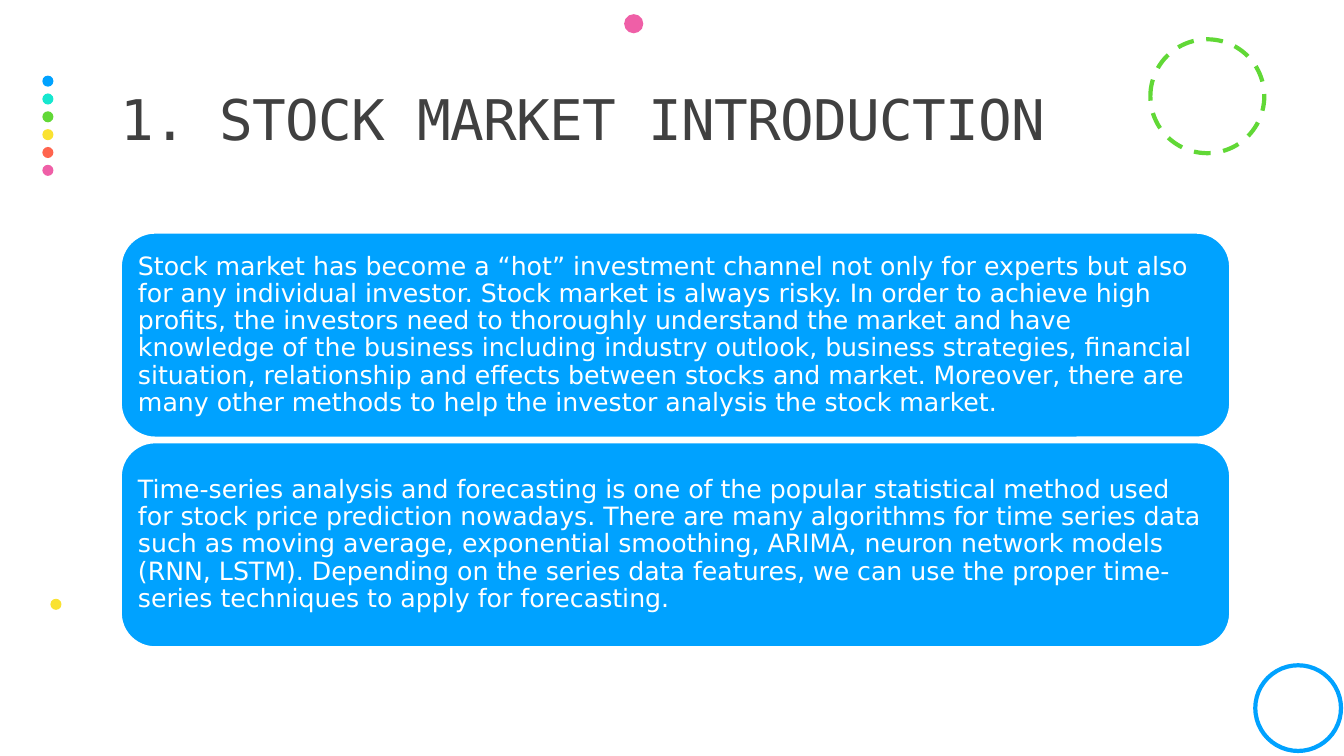
from pptx import Presentation
from pptx.dml.color import RGBColor
from pptx.enum.dml import MSO_LINE
from pptx.enum.shapes import MSO_SHAPE
from pptx.enum.text import MSO_ANCHOR, PP_ALIGN
from pptx.util import Inches, Pt

OVAL = MSO_SHAPE.OVAL
ROUNDED = MSO_SHAPE.ROUNDED_RECTANGLE
DASH = MSO_LINE.DASH
MIDDLE = MSO_ANCHOR.MIDDLE
LEFT = PP_ALIGN.LEFT

BLUE = RGBColor(0x00, 0xA2, 0xFF)
TEAL = RGBColor(0x16, 0xE7, 0xCF)
GREEN = RGBColor(0x61, 0xD8, 0x36)
YELLOW = RGBColor(0xFA, 0xE2, 0x32)
CORAL = RGBColor(0xFF, 0x64, 0x4E)
PINK = RGBColor(0xEF, 0x5F, 0xA7)
DARK = RGBColor(0x40, 0x40, 0x40)
WHITE = RGBColor(0xFF, 0xFF, 0xFF)

TITLE = "1. STOCK MARKET INTRODUCTION"
CARDS = [
    "Stock market has become a “hot” investment channel not only for experts "
    "but also for any individual investor. Stock market is always risky. In "
    "order to achieve high profits, the investors need to thoroughly "
    "understand the market and have knowledge of the business including "
    "industry outlook, business strategies, financial situation, relationship "
    "and effects between stocks and market. Moreover, there are many other "
    "methods to help the investor analysis the stock market.",
    "Time-series analysis and forecasting is one of the popular statistical "
    "method used for stock price prediction nowadays. There are many "
    "algorithms for time series data such as moving average, exponential "
    "smoothing, ARIMA, neuron network models (RNN, LSTM). Depending on the "
    "series data features, we can use the proper time-series techniques to "
    "apply for forecasting.",
]


def add_circle(slide, left, top, size, fill=None, line=None, dash=None):
    circle = slide.shapes.add_shape(
        OVAL, Inches(left), Inches(top), Inches(size), Inches(size))
    circle.shadow.inherit = False
    if fill is None:
        circle.fill.background()
    else:
        circle.fill.solid()
        circle.fill.fore_color.rgb = fill
    if line is None:
        circle.line.fill.background()
    else:
        circle.line.color.rgb = line
        circle.line.width = Pt(3)
        if dash is not None:
            circle.line.dash_style = dash


def write(frame, text, size, font, color, inset_x, inset_y):
    frame.word_wrap = True
    frame.vertical_anchor = MIDDLE
    frame.margin_left = frame.margin_right = Inches(inset_x)
    frame.margin_top = frame.margin_bottom = Inches(inset_y)
    paragraph = frame.paragraphs[0]
    paragraph.alignment = LEFT
    paragraph.line_spacing = 0.9
    run = paragraph.add_run()
    run.text = text
    run.font.size = Pt(size)
    run.font.name = font
    run.font.color.rgb = color
    return run


def add_decoration(slide, width, height):
    # Column of coloured dots
    for row, color in enumerate([BLUE, TEAL, GREEN, YELLOW, CORAL, PINK]):
        add_circle(slide, 0.42, 0.75 + row * 0.177, 0.11, fill=color)
    # Scattered circles
    add_circle(slide, width - 1.92, 0.39, 1.13, line=GREEN, dash=DASH)
    add_circle(slide, 6.19, 0.14, 0.19, fill=PINK)
    add_circle(slide, 0.5, height - 1.56, 0.11, fill=YELLOW)
    add_circle(slide, width - 0.88, height - 0.9, 0.85, line=BLUE)


def add_title(slide, left, top, width, height):
    title = slide.shapes.add_textbox(
        Inches(left), Inches(top), Inches(width), Inches(height))
    run = write(title.text_frame, TITLE, 40, "DejaVu Sans Mono", DARK, 0, 0.05)
    # Tighten the letters by half a point
    run.font._element.set("spc", "-50")


def add_cards(slide, left, top, width, height, gap=0.05):
    card_height = (height - gap * (len(CARDS) - 1)) / len(CARDS)
    for row, text in enumerate(CARDS):
        card = slide.shapes.add_shape(
            ROUNDED, Inches(left), Inches(top + row * (card_height + gap)),
            Inches(width), Inches(card_height))
        card.shadow.inherit = False
        card.fill.solid()
        card.fill.fore_color.rgb = BLUE
        card.line.color.rgb = WHITE
        card.line.width = Pt(1.25)
        write(card.text_frame, text, 18, "DejaVu Sans", WHITE, 0.07, 0.07)


def main():
    width, height = 13.33, 7.5
    deck = Presentation()
    deck.slide_width, deck.slide_height = Inches(width), Inches(height)
    slide = deck.slides.add_slide(deck.slide_layouts[6])
    add_decoration(slide, width, height)
    add_title(slide, 1.2, 0.46, 11, 1.5)
    add_cards(slide, 1.2, 2.31, 11, 4.11)
    deck.save("out.pptx")


if __name__ == "__main__":
    main()
